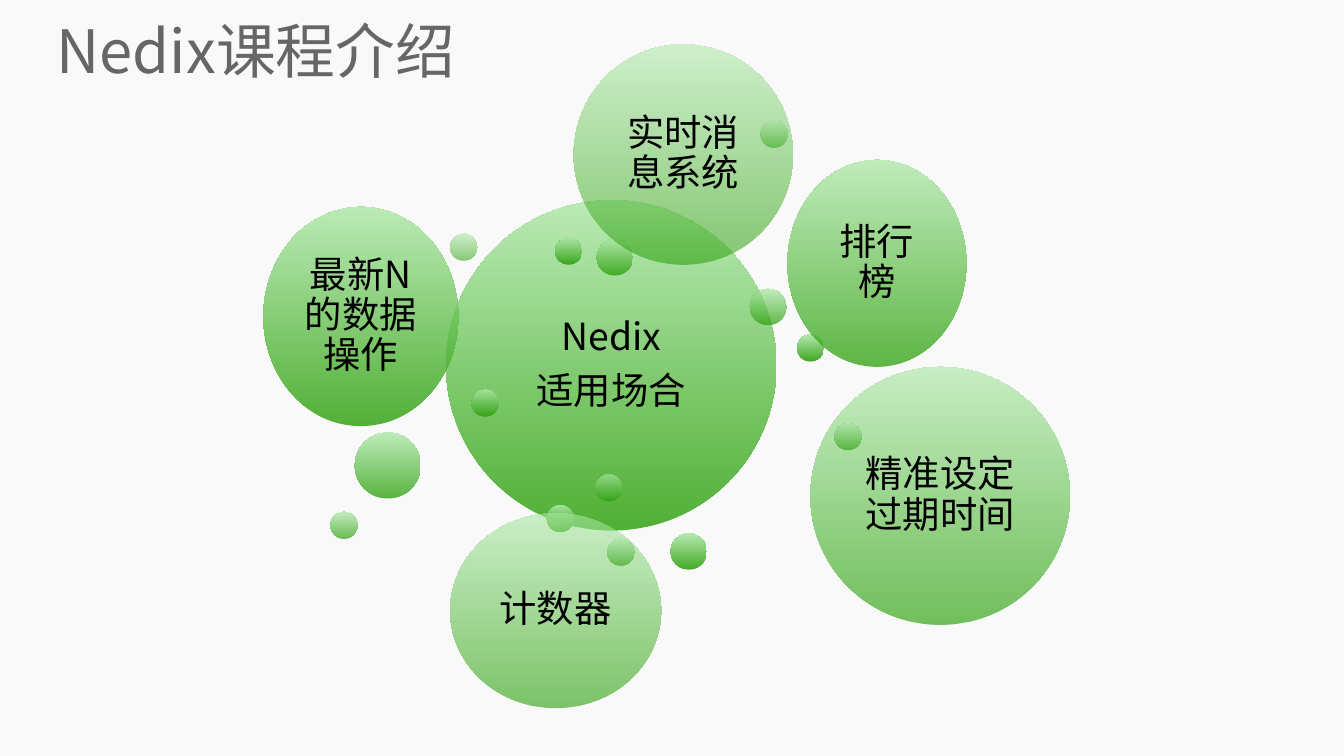
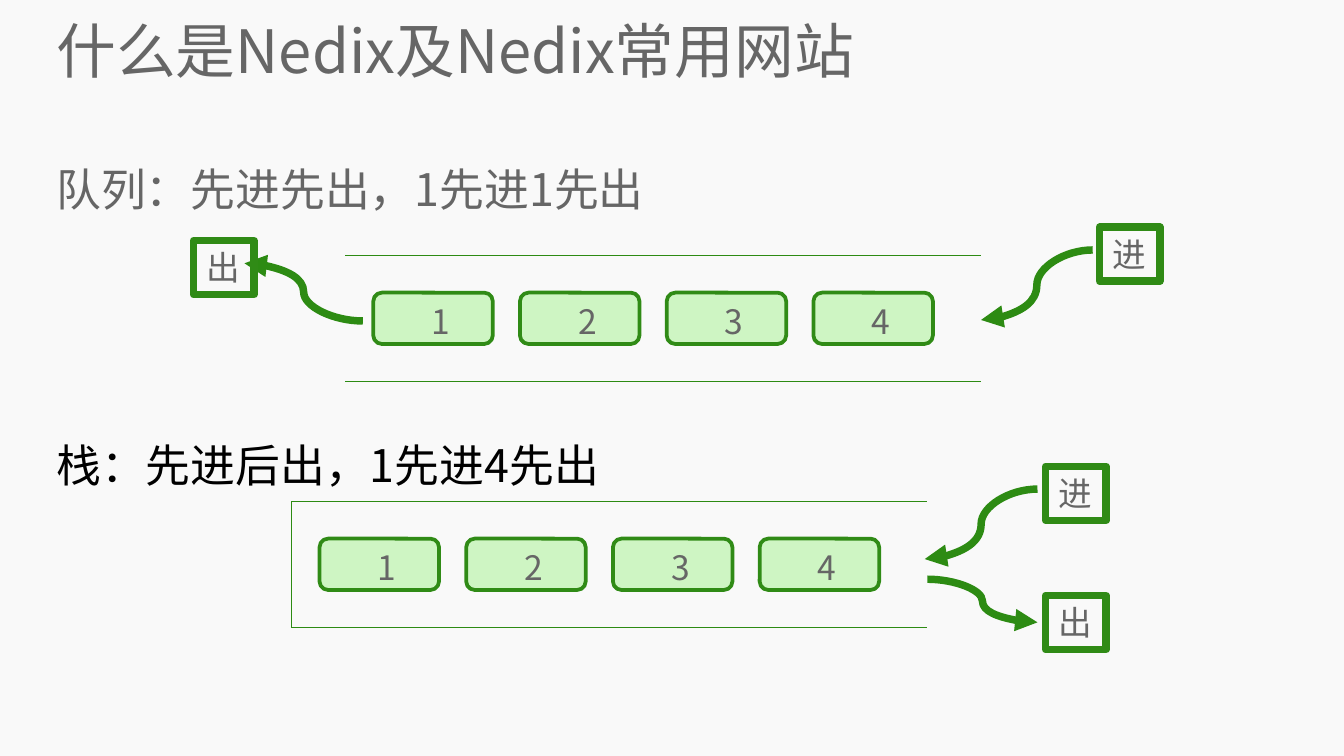
import dataclasses

import lxml.etree
import pptx
import pptx.dml.color
import pptx.enum.dml
import pptx.enum.shapes
import pptx.enum.text
import pptx.oxml.ns
import pptx.util

Pt = pptx.util.Pt
SHAPES = pptx.enum.shapes.MSO_SHAPE
CONNECTORS = pptx.enum.shapes.MSO_CONNECTOR
ANCHOR = pptx.enum.text.MSO_ANCHOR
ALIGN = pptx.enum.text.PP_ALIGN
AUTO_SIZE = pptx.enum.text.MSO_AUTO_SIZE


@dataclasses.dataclass(frozen=True)
class Theme:
    """Colours, font and type sizes shared by the slides."""
    font: str = "Noto Sans CJK SC"
    background: str = "F9F9F9"
    text: str = "666666"
    strong: str = "000000"
    bubble_dark: str = "269D04"
    bubble_light: str = "ABE7A5"
    block_fill: str = "CEF5C3"
    outline: str = "308B16"
    line: str = "2D8B13"
    title_size: float = 32
    body_size: float = 24
    bubble_size: float = 20
    label_size: float = 18


THEME = Theme()
DOT, DROP, BALL = 14.4, 19.4, 35.3
CORE = (239, 107.3, 177, 177, "Nedix\n适用场合")
BUBBLES = [
    (293, 270.7, DOT, DOT, ""),
    (427, 179.3, DOT, DOT, ""),
    (359.3, 285.8, DROP, DROP, ""),
    (297.4, 127.4, DOT, DOT, ""),
    (252.7, 208.8, DOT, DOT, ""),
    (141.1, 110.9, 104.4, 117.4, "最新N的数据操作"),
    (319.7, 128.2, DROP, DROP, ""),
    (190.1, 231.8, BALL, BALL, ""),
    (421.9, 85.7, 95.8, 110.9, "排行榜"),
    (401.8, 154.8, DROP, DROP, ""),
    (177.1, 274.3, DOT, DOT, ""),
    (319, 254.2, DOT, DOT, ""),
    (434.2, 196.6, 139, 138.2, "精准设定过期时间"),
    (447.1, 226.8, DOT, DOT, ""),
    (241.2, 275, 113, 104.4, "计数器"),
    (325.4, 288.7, DOT, DOT, ""),
    (307.4, 23.8, 117.4, 118.1, "实时消息系统"),
    (241.2, 125.3, DOT, DOT, ""),
    (407.5, 64.8, DOT, DOT, ""),
]
LANE_WIDTH, LANE_HEIGHT = 340.6, 67.6
BLOCK_WIDTH, BLOCK_HEIGHT, BLOCK_PITCH = 64, 27.5, 78.6


def color(value):
    """Turn a hex string into a colour."""
    return pptx.dml.color.RGBColor.from_string(value)


def add_child(parent, tag, **attributes):
    """Append a DrawingML element to a parent element."""
    return lxml.etree.SubElement(parent, pptx.oxml.ns.qn(tag), attributes)


def add_run(paragraph, text, size, shade):
    """Add one formatted run for Latin and East Asian text."""
    run = paragraph.add_run()
    run.text = text
    run.font.size = Pt(size)
    run.font.name = THEME.font
    run.font.color.rgb = color(shade)
    add_child(run.font._element, "a:ea", typeface=THEME.font)


def set_frame(frame, inset, anchor, wrap=True, auto_size=AUTO_SIZE.NONE):
    """Set the insets, anchor and wrapping of a text frame."""
    frame.margin_left = frame.margin_right = Pt(inset[0])
    frame.margin_top = frame.margin_bottom = Pt(inset[1])
    frame.vertical_anchor = anchor
    frame.word_wrap = wrap
    frame.auto_size = auto_size


def place(shape, left, top, width, height):
    """Move and size a shape."""
    shape.left, shape.top = Pt(left), Pt(top)
    shape.width, shape.height = Pt(width), Pt(height)


def add_slide(presentation, title):
    """Add a slide with the shared title style."""
    slide = presentation.slides.add_slide(presentation.slide_layouts[0])
    shape = slide.shapes.title
    place(shape, 30.2, 13, 679, 27.4)
    set_frame(shape.text_frame, (0, 0), ANCHOR.MIDDLE)
    paragraph = shape.text_frame.paragraphs[0]
    paragraph.alignment = ALIGN.LEFT
    add_run(paragraph, title, THEME.title_size, THEME.text)
    return slide


def add_body(slide, lines):
    """Fill the body placeholder with (text, colour, space before) lines."""
    shape = slide.placeholders[1]
    place(shape, 30.2, 74.9, 655, 299)
    frame = shape.text_frame
    set_frame(frame, (0, 0), ANCHOR.TOP)
    for index, (text, shade, space) in enumerate(lines):
        paragraph = frame.add_paragraph() if index else frame.paragraphs[0]
        paragraph.alignment = ALIGN.LEFT
        paragraph.line_spacing = 1.4
        paragraph.space_before = Pt(space)
        add_run(paragraph, text, THEME.body_size, shade)


def add_shape(shapes, kind, left, top, width, height):
    """Add a preset shape without a shadow."""
    shape = shapes.add_shape(kind, Pt(left), Pt(top), Pt(width), Pt(height))
    shape.shadow.inherit = False
    return shape


def add_bubble(shapes, left, top, width, height, text, opacity):
    """Add a translucent gradient ellipse with optional centred text."""
    shape = add_shape(shapes, SHAPES.OVAL, left, top, width, height)
    shape.line.fill.background()
    shape.fill.gradient()
    shape.fill.gradient_angle = 90
    shades = (THEME.bubble_dark, THEME.bubble_light)
    for stop, shade, position in zip(shape.fill.gradient_stops, shades, (0, 1)):
        stop.color.rgb = color(shade)
        stop.position = position
        fill = stop._gs.find(pptx.oxml.ns.qn("a:srgbClr"))
        add_child(fill, "a:alpha", val=str(round(opacity) * 1000))
    if not text:
        return
    frame = shape.text_frame
    set_frame(frame, (6, 6), ANCHOR.MIDDLE)
    for index, line in enumerate(text.split("\n")):
        paragraph = frame.add_paragraph() if index else frame.paragraphs[0]
        paragraph.alignment = ALIGN.CENTER
        paragraph.line_spacing = 0.9
        paragraph.space_after = Pt(7)
        add_run(paragraph, line, THEME.bubble_size, THEME.strong)


def add_line(shapes, start, end, width=0.75, kind=CONNECTORS.STRAIGHT):
    """Add a connector between two points."""
    connector = shapes.add_connector(kind, *map(Pt, start + end))
    connector.line.color.rgb = color(THEME.line)
    connector.line.width = Pt(width)
    add_child(connector._element.spPr, "a:effectLst")
    return connector


def add_arrow(shapes, start, end):
    """Add a thick curved arrow."""
    connector = add_line(shapes, start, end, 4, CONNECTORS.CURVE)
    add_child(connector.line._get_or_add_ln(), "a:tailEnd", type="triangle")


def add_label(shape, text):
    """Write a short unwrapped label in a shape."""
    set_frame(shape.text_frame, (7.2, 3.6), ANCHOR.TOP, False, AUTO_SIZE.SHAPE_TO_FIT_TEXT)
    paragraph = shape.text_frame.paragraphs[0]
    paragraph.alignment = ALIGN.LEFT
    add_run(paragraph, text, THEME.label_size, THEME.text)


def add_gate(shapes, text, left, top):
    """Add an outlined box marking an entry or exit."""
    shape = add_shape(shapes, SHAPES.RECTANGLE, left, top, 32.4, 29)
    shape.fill.background()
    shape.line.color.rgb = color(THEME.outline)
    shape.line.width = Pt(4)
    add_label(shape, text)


def add_lane(shapes, left, top, closed):
    """Add a lane of four numbered blocks, closed on the left for a stack."""
    right, bottom = left + LANE_WIDTH, top + LANE_HEIGHT
    for y in (top, bottom):
        add_line(shapes, (left, y), (right, y))
    if closed:
        add_line(shapes, (left, top), (left, bottom))
    for index in range(4):
        x = left + 15 + index * BLOCK_PITCH
        block = add_shape(shapes, SHAPES.ROUNDED_RECTANGLE, x, top + 20, BLOCK_WIDTH, BLOCK_HEIGHT)
        block.fill.solid()
        block.fill.fore_color.rgb = color(THEME.block_fill)
        block.line.color.rgb = color(THEME.outline)
        block.line.width = Pt(2)
        box = shapes.add_textbox(Pt(x + 24), Pt(top + 21), Pt(24.4), Pt(29))
        add_label(box, str(index + 1))


def build_uses(presentation):
    """Build the slide of use cases as bubbles."""
    slide = add_slide(presentation, "Nedix课程介绍")
    subtitle = slide.placeholders[1]._element
    subtitle.getparent().remove(subtitle)
    shapes = slide.shapes.add_group_shape().shapes
    add_bubble(shapes, *CORE, 80)
    step = 40 / (len(BUBBLES) - 1)
    for index, bubble in enumerate(BUBBLES):
        add_bubble(shapes, *bubble, 90 - index * step)


def build_structures(presentation):
    """Build the slide comparing a queue with a stack."""
    slide = add_slide(presentation, "什么是Nedix及Nedix常用网站")
    add_body(slide, [
        ("队列：先进先出，1先进1先出", THEME.text, 0),
        ("栈：先进后出，1先进4先出", THEME.strong, 108),
    ])
    queue = slide.shapes.add_group_shape().shapes
    add_lane(queue, 185, 136.8, False)
    add_arrow(queue, (585.4, 133.9), (525.6, 171.4))
    add_arrow(queue, (194.4, 172), (131, 141.1))
    add_gate(queue, "进", 589, 121.7)
    add_gate(queue, "出", 103.7, 128.9)
    stack = slide.shapes.add_group_shape().shapes
    add_lane(stack, 156.2, 268.6, True)
    add_arrow(stack, (555.8, 262), (495.4, 299.5))
    add_arrow(stack, (496.8, 310.3), (555.8, 333.4))
    add_gate(stack, "进", 560.2, 249.8)
    add_gate(stack, "出", 560.2, 319)


def main():
    """Build and save the presentation."""
    presentation = pptx.Presentation()
    presentation.slide_width, presentation.slide_height = Pt(720), Pt(405)
    background = presentation.slide_master.background.fill
    background.solid()
    background.fore_color.rgb = color(THEME.background)
    build_uses(presentation)
    build_structures(presentation)
    presentation.save("out.pptx")


main()
